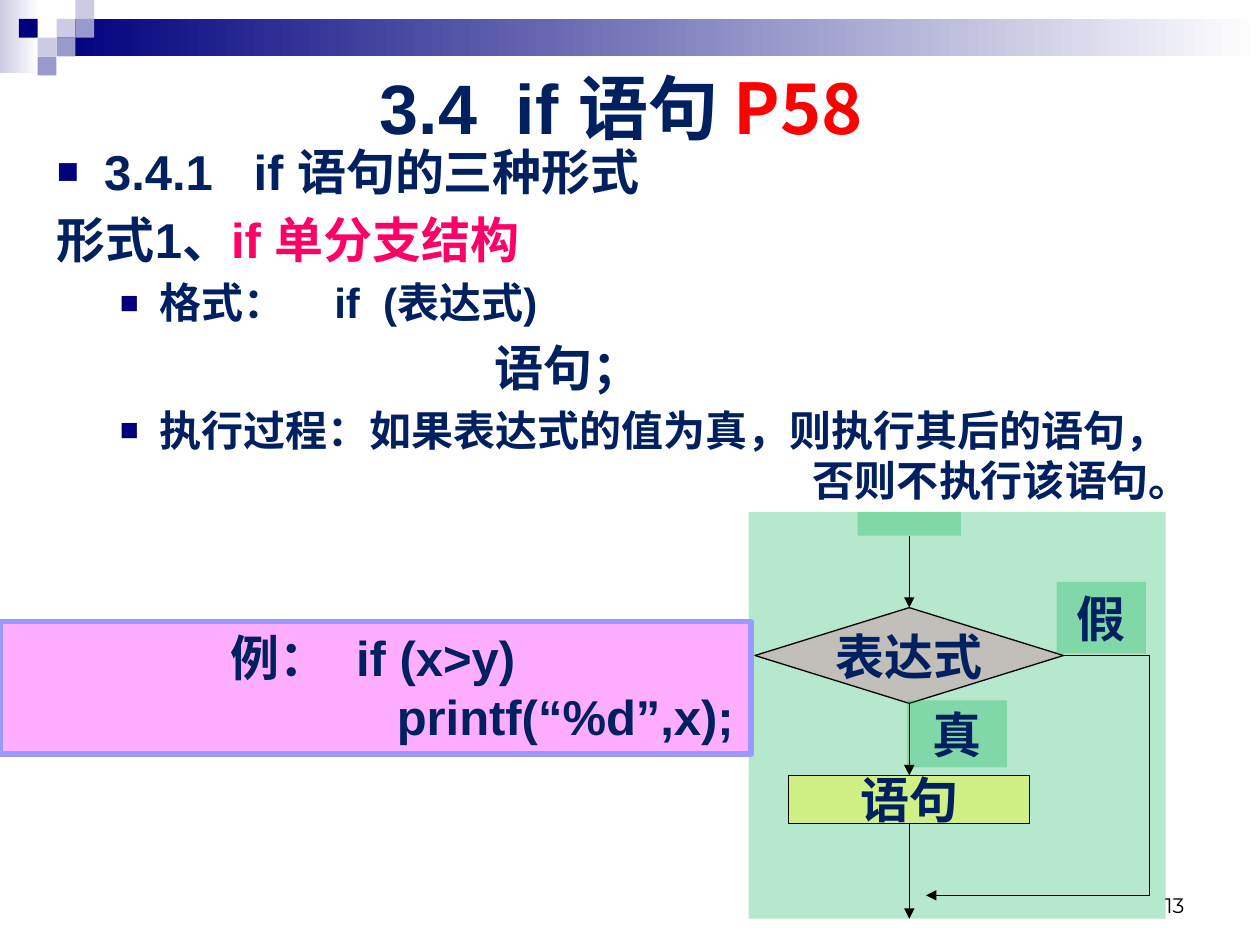
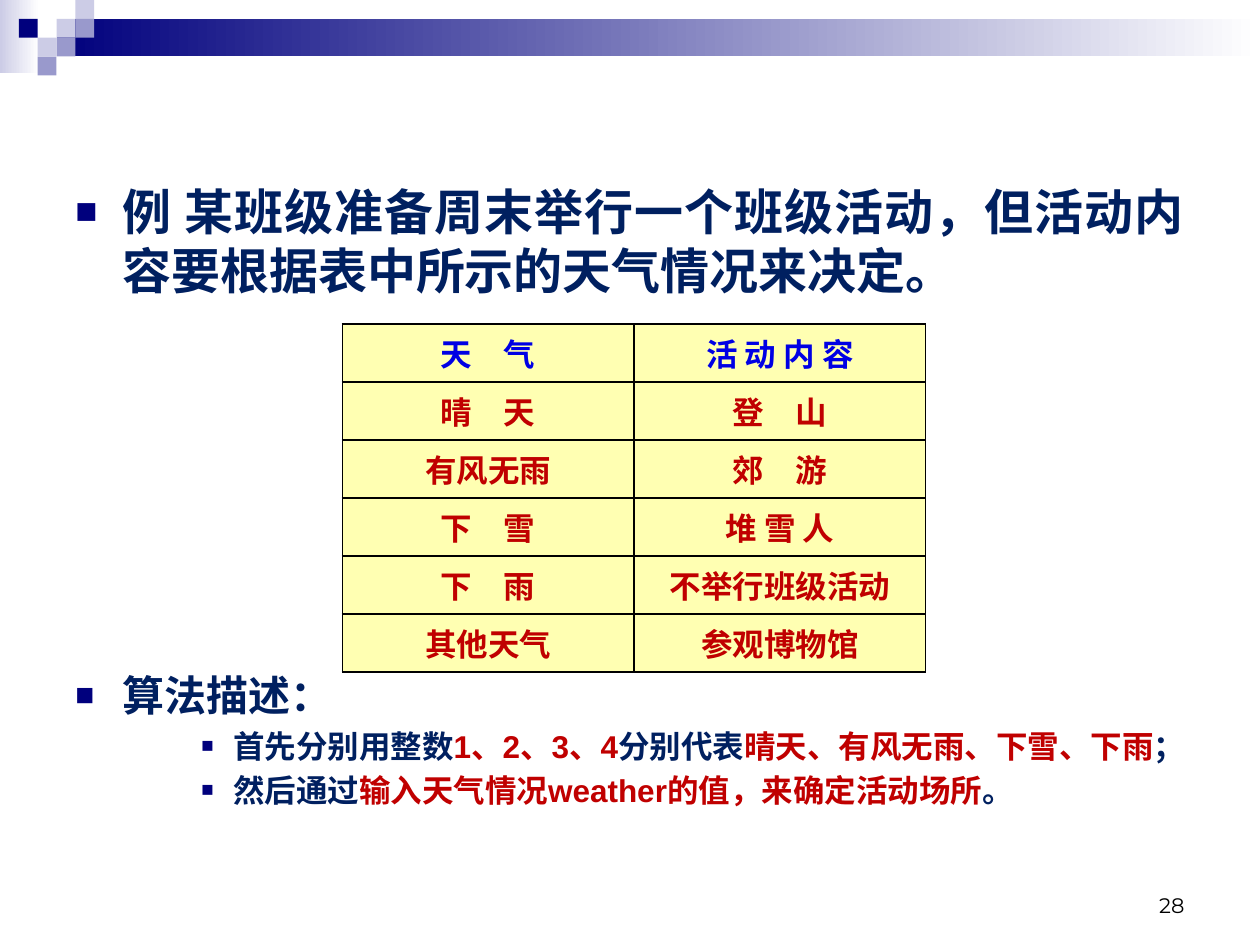
from dataclasses import dataclass

from lxml import etree
from pptx import Presentation
from pptx import util as u
from pptx.dml import color as dml
from pptx.enum import shapes, text
from pptx.oxml import ns


@dataclass(frozen=True)
class Theme:
    latin: str = "Arial"
    chinese: str = "Noto Sans CJK SC"
    number: str = "Montserrat"
    ink: str = "002060"
    black: str = "000000"
    white: str = "FFFFFF"
    navy: str = "00007D"
    lilac: str = "9999CC"
    pale: str = "CCCCE6"
    border: str = "9999FF"
    green: str = "00B050"
    yellow: str = "FFFF00"
    magenta: str = "FF00FF"
    pink: str = "FF0066"
    red: str = "FF0000"
    dark_red: str = "C00000"
    blue: str = "0000E4"
    title: int = 40
    large: int = 28
    medium: int = 24
    small: int = 18
    footer: int = 12


T = Theme()
RECT = shapes.MSO_SHAPE.RECTANGLE
DIAMOND = shapes.MSO_SHAPE.FLOWCHART_DECISION
ALIGN = text.PP_ALIGN
ANCHOR = text.MSO_ANCHOR

MOSAIC_CELL = 0.38
MOSAIC = [(3, 1, T.pale), (4, 0, T.pale), (4, 1, T.lilac), (2, 2, T.pale),
          (1, 1, T.navy), (3, 2, T.lilac), (2, 3, T.lilac)]

TITLE = [("3.4  if ", T.latin, T.ink), ("语句 ", T.chinese, T.ink), ("P58", T.chinese, T.red)]

TOP_LEVEL = dict(margin=0.95, hang=-0.95, bullet=75)
SECOND_LEVEL = dict(margin=2.06, hang=-0.79, bullet=75)
THIRD_LEVEL = dict(margin=3.18, hang=-0.64, bullet=65)

FORM_LINES = [
    (T.large, TOP_LEVEL, [("3.4.1   if ", T.latin, T.ink), ("语句的三种形式", T.chinese, T.ink)]),
    (T.large, {}, [("形式1、", T.latin, T.ink), ("if ", T.latin, T.pink),
                   ("单分支结构", T.chinese, T.pink)]),
    (T.medium, dict(SECOND_LEVEL, tabs=(3.53, 5.59)),
     [("格式：\t", T.chinese, T.ink), ("if  (", T.latin, T.ink),
      ("表达式", T.chinese, T.ink), (")", T.latin, T.ink)]),
    (T.large, dict(margin=8.82), [("语句；", T.chinese, T.ink)]),
    (T.medium, SECOND_LEVEL,
     [("执行过程：如果表达式的值为真，则执行其后的语句，", T.chinese, T.ink)]),
    (T.medium, dict(margin=15.24, before=0), [("否则不执行该语句。", T.chinese, T.ink)]),
]

EXAMPLE_LINES = [
    (T.large, dict(margin=4.64, tabs=(2.41, 7.05), before=0),
     [("例", T.chinese, T.ink), ("：\tif (x>y)", T.latin, T.ink)]),
    (T.large, dict(margin=8.0, before=0), [("printf(“%d”,x);", T.latin, T.ink)]),
]

FLOW_PARTS = {
    "panel": (RECT, (15.09, 10.32, 8.41, 8.2), T.green, 29, None, ""),
    "entry": (RECT, (17.29, 10.32, 2.08, 0.48), T.green, 29, None, ""),
    "condition": (DIAMOND, (15.22, 12.25, 6.22, 1.93), T.pink, 18, T.black, "表达式"),
    "statement": (RECT, (15.9, 15.63, 4.86, 0.97), T.yellow, 35, T.black, "语句"),
    "true": (RECT, (18.29, 14.12, 2.01, 1.35), T.green, 29, None, "真"),
    "false": (RECT, (21.3, 11.73, 1.8, 1.45), T.green, 29, None, "假"),
}
FLOW_ARROWS = [("entry", "condition"), ("condition", "statement"), ("statement", None)]
BYPASS_START, BYPASS_END, BYPASS_SIDE = (21.44, 13.22), (18.67, 18.05), 23.17

TASK_LINES = [
    (T.large, dict(TOP_LEVEL, align=ALIGN.JUSTIFY),
     [("例 某班级准备周末举行一个班级活动，但活动内容要根据表中所示的天气情况来决定。",
       T.chinese, T.ink)]),
]
ALGORITHM_LINES = [
    (T.medium, TOP_LEVEL, [("算法描述：", T.chinese, T.ink)]),
    (T.small, THIRD_LEVEL,
     [("首先分别用整数", T.chinese, T.ink), ("1、2、3、4", T.latin, T.dark_red),
      ("分别代表", T.chinese, T.ink), ("晴天、有风无雨、下雪、下雨", T.chinese, T.dark_red),
      ("；", T.chinese, T.ink)]),
    (T.small, THIRD_LEVEL,
     [("然后通过", T.chinese, T.ink), ("输入天气情况", T.chinese, T.dark_red),
      ("weather", T.latin, T.dark_red), ("的值，来确定活动场所", T.chinese, T.dark_red),
      ("。", T.chinese, T.ink)]),
]
WEATHER_ROWS = [
    ("天　气", "活 动 内 容"),
    ("晴　天", "登　山"),
    ("有风无雨", "郊　游"),
    ("下　雪", "堆 雪 人"),
    ("下　雨", "不举行班级活动"),
    ("其他天气", "参观博物馆"),
]
TABLE_LEFT, TABLE_TOP, COLUMN_WIDTH, ROW_HEIGHT = 6.9, 6.53, 5.88, 1.17


def lengths(*values):
    return [u.Cm(value) for value in values]


def rgb(value):
    return dml.RGBColor.from_string(value)


def add_node(parent, tag, **attributes):
    node = etree.SubElement(parent, ns.qn(tag))
    for key, value in attributes.items():
        node.set(key, str(value))
    return node


def set_fill(fill, value, opacity=100):
    fill.solid()
    fill.fore_color.rgb = rgb(value)
    if opacity < 100:
        for node in fill._xPr.iter(ns.qn("a:srgbClr")):
            add_node(node, "a:alpha", val=opacity * 1000)


def add_spans(para, size, spans, bold=True):
    for words, font, value in spans:
        span = para.add_run()
        span.text = words
        span.font.size, span.font.bold, span.font.name = u.Pt(size), bold, font
        span.font.color.rgb = rgb(value)
        east_asian = font if font == T.number else T.chinese
        add_node(span.font._element, "a:ea", typeface=east_asian)


def style_para(para, size, margin=0, hang=0, bullet=None, tabs=(), before=None,
               align=ALIGN.LEFT):
    para.alignment = align
    para.space_before = u.Pt(size * 0.2 if before is None else before)
    props = para._p.get_or_add_pPr()
    props.set("marL", str(u.Cm(margin)))
    props.set("indent", str(u.Cm(hang)))
    if bullet:
        add_node(add_node(props, "a:buClr"), "a:srgbClr", val=T.navy)
        add_node(props, "a:buSzPct", val=bullet * 1000)
        add_node(props, "a:buFont", typeface=T.latin)
        add_node(props, "a:buChar", char="■")
    if tabs:
        stops = add_node(props, "a:tabLst")
        for stop in tabs:
            add_node(stops, "a:tab", pos=u.Cm(stop), algn="l")


def fill_lines(frame, lines):
    frame.word_wrap = True
    for index, (size, style, spans) in enumerate(lines):
        para = frame.add_paragraph() if index else frame.paragraphs[0]
        style_para(para, size, **style)
        add_spans(para, size, spans)


def add_text(page, area, lines):
    box = page.shapes.add_textbox(*lengths(*area))
    fill_lines(box.text_frame, lines)


def add_block(page, kind, area, value, opacity=100, outline=None, weight=0.75):
    block = page.shapes.add_shape(kind, *lengths(*area))
    block.shadow.inherit = False
    set_fill(block.fill, value, opacity)
    if outline:
        block.line.color.rgb = rgb(outline)
        block.line.width = u.Pt(weight)
    else:
        block.line.fill.background()
    return block


def add_fade(page, area, start):
    block = add_block(page, RECT, area, start)
    block.fill.gradient()
    block.fill.gradient_angle = 0
    for stop, value in zip(block.fill.gradient_stops, (start, T.white)):
        stop.color.rgb = rgb(value)


def add_page(deck, layout, number):
    page = deck.slides.add_slide(deck.slide_layouts[layout])
    add_fade(page, (0, 0, 0.79, 1.47), T.pale)
    add_fade(page, (1.14, 0.38, 24.26, 0.76), T.navy)
    for column, row, value in MOSAIC:
        add_block(page, RECT, (column * MOSAIC_CELL, row * MOSAIC_CELL,
                               MOSAIC_CELL, MOSAIC_CELL), value)
    box = page.shapes.add_textbox(*lengths(18.2, 17.35, 5.93, 1.27))
    box.text_frame.word_wrap = True
    box.text_frame.vertical_anchor = ANCHOR.BOTTOM
    para = box.text_frame.paragraphs[0]
    para.alignment = ALIGN.RIGHT
    add_spans(para, T.footer, [(str(number), T.number, T.black)], bold=False)
    return page


def add_arrow(page, kind, start, end):
    arrow = page.shapes.add_connector(kind, *lengths(*start, *end))
    arrow.line.color.rgb = rgb(T.black)
    arrow.line.width = u.Pt(0.75)
    add_node(arrow.line._get_or_add_ln(), "a:tailEnd", type="triangle")
    add_node(arrow._element.spPr, "a:effectLst")
    return arrow


def add_flowchart(page):
    parts = {}
    for name, (kind, area, value, opacity, outline, words) in FLOW_PARTS.items():
        part = parts[name] = add_block(page, kind, area, value, opacity, outline)
        if words:
            frame = part.text_frame
            frame.word_wrap = False
            frame.vertical_anchor = ANCHOR.MIDDLE
            frame.margin_left = frame.margin_right = frame.margin_top = frame.margin_bottom = 0
            frame.paragraphs[0].alignment = ALIGN.CENTER
            add_spans(frame.paragraphs[0], T.large, [(words, T.chinese, T.ink)])

    left, top, width, height = FLOW_PARTS["panel"][1]
    axis = FLOW_PARTS["condition"][1][0] + FLOW_PARTS["condition"][1][2] / 2
    for source, target in FLOW_ARROWS:
        arrow = add_arrow(page, shapes.MSO_CONNECTOR.STRAIGHT, (axis, top), (axis, top + height))
        arrow.begin_connect(parts[source], 2)
        if target:
            arrow.end_connect(parts[target], 0)

    bypass = add_arrow(page, shapes.MSO_CONNECTOR.ELBOW, BYPASS_START, BYPASS_END)
    bend = (BYPASS_SIDE - BYPASS_START[0]) / (BYPASS_END[0] - BYPASS_START[0])
    guides = bypass._element.spPr.find(ns.qn("a:prstGeom")).find(ns.qn("a:avLst"))
    add_node(guides, "a:gd", name="adj1", fmla=f"val {round(bend * 100000)}")


def add_weather_table(page):
    rows, columns = len(WEATHER_ROWS), len(WEATHER_ROWS[0])
    area = (TABLE_LEFT, TABLE_TOP, COLUMN_WIDTH * columns, ROW_HEIGHT * rows)
    table = page.shapes.add_table(rows, columns, *lengths(*area)).table
    table.first_row = table.horz_banding = False
    for row, entries in enumerate(WEATHER_ROWS):
        for column, words in enumerate(entries):
            cell = table.cell(row, column)
            cell.vertical_anchor = ANCHOR.MIDDLE
            para = cell.text_frame.paragraphs[0]
            para.alignment = ALIGN.CENTER
            add_spans(para, T.small, [(words, T.chinese, T.dark_red if row else T.blue)])
            props = cell._tc.get_or_add_tcPr()
            for side in ("L", "R", "T", "B"):
                edge = add_node(props, f"a:ln{side}", w=u.Pt(1))
                add_node(add_node(edge, "a:solidFill"), "a:srgbClr", val=T.black)
            set_fill(cell.fill, T.yellow, 30)


def build_if_page(deck):
    page = add_page(deck, 5, 13)
    title = page.shapes.title
    title.left, title.top, title.width, title.height = lengths(1.1, 1.12, 22.86, 2.06)
    title.text_frame.vertical_anchor = ANCHOR.MIDDLE
    title.text_frame.paragraphs[0].alignment = ALIGN.CENTER
    add_spans(title.text_frame.paragraphs[0], T.title, TITLE)
    add_text(page, (0.9, 2.72, 23.88, 8.61), FORM_LINES)
    add_flowchart(page)
    example = add_block(page, RECT, (0, 12.53, 15.14, 2.67), T.magenta, 32, T.border, 3)
    frame = example.text_frame
    frame.vertical_anchor = ANCHOR.TOP
    frame.margin_left = frame.margin_right = 0
    frame.margin_top = u.Cm(0.13)
    fill_lines(frame, EXAMPLE_LINES)


def build_weather_page(deck):
    page = add_page(deck, 6, 28)
    add_text(page, (1.27, 3.53, 22.86, 2.8), TASK_LINES)
    add_text(page, (1.27, 13.38, 22.86, 4.33), ALGORITHM_LINES)
    add_weather_table(page)


def main():
    deck = Presentation()
    deck.slide_width, deck.slide_height = lengths(25.4, 19.05)
    build_if_page(deck)
    build_weather_page(deck)
    deck.save("out.pptx")


if __name__ == "__main__":
    main()
